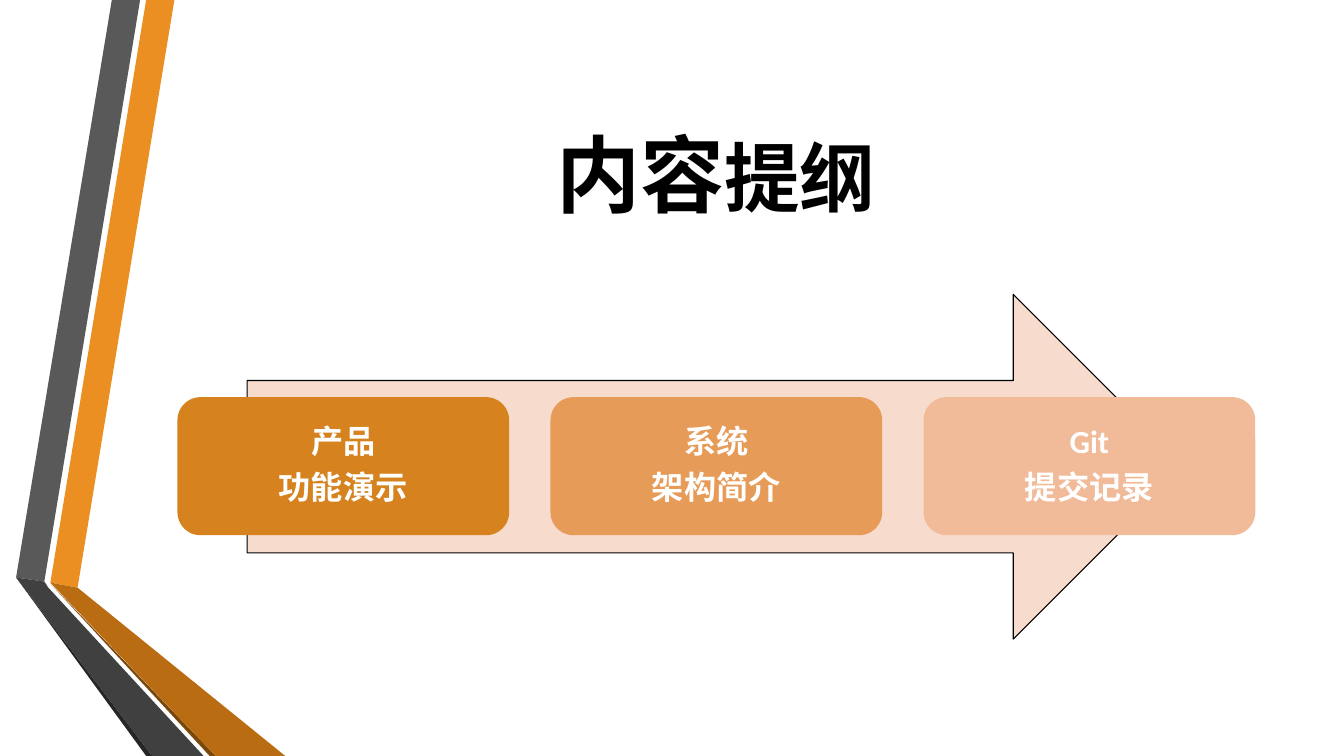
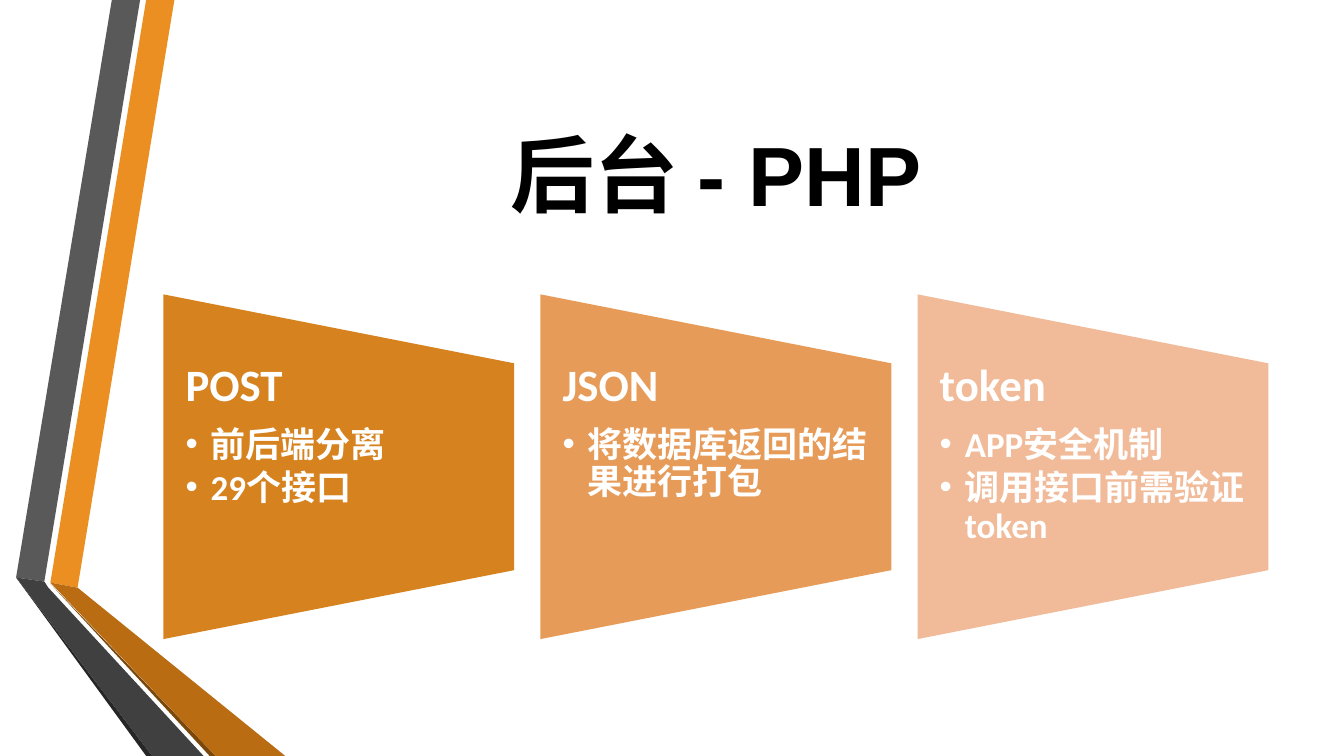
from dataclasses import dataclass

from lxml.etree import SubElement
from pptx import Presentation
from pptx.dml.color import RGBColor
from pptx.enum.shapes import MSO_SHAPE
from pptx.enum.text import MSO_ANCHOR, PP_ALIGN
from pptx.oxml.ns import qn
from pptx.shapes.autoshape import Shape
from pptx.slide import Slide
from pptx.util import Inches, Pt

COLORS = {
    "orange": "EB8F22",
    "orange_dark": "B96C11",
    "orange_edge": "7B480B",
    "gray": "595959",
    "gray_dark": "404040",
    "gray_edge": "262626",
    "arrow": "F7DBCD",
    "black": "000000",
    "white": "FFFFFF",
}
STEP_COLORS = ["D5821F", "E79B58", "F1BB99"]
BODY_FONT = "Calibri"
DIAGRAM_TOP, DIAGRAM_HEIGHT = 2.92, 3.42


@dataclass
class Ribbon:
    color: str
    points: list[tuple[float, float]]


@dataclass
class TitleRun:
    text: str
    size: int


@dataclass
class Topic:
    heading: str
    points: list[str]


RIBBONS = [
    Ribbon("orange", [(0.5, 5.78), (0.77, 5.83), (1.73, 0), (1.45, 0)]),
    Ribbon("gray", [(1.39, 0), (1.11, 0), (0.16, 5.73), (0.44, 5.77)]),
    Ribbon("gray_edge", [(0.16, 5.73), (1.45, 7.5), (1.51, 7.5)]),
    Ribbon("orange_edge", [(0.5, 5.79), (2.08, 7.5), (2.14, 7.5)]),
    Ribbon("orange_dark", [(0.5, 5.78), (2.14, 7.5), (2.83, 7.5), (0.77, 5.83)]),
    Ribbon("gray_dark", [(2.02, 7.5), (0.48, 5.83), (0.44, 5.77), (0.16, 5.73), (1.51, 7.5)]),
]
AGENDA = [("产品", "功能演示"), ("系统", "架构简介"), ("Git", "提交记录")]
TOPICS = [
    Topic("POST", ["前后端分离", "29个接口"]),
    Topic("JSON", ["将数据库返回的结果进行打包"]),
    Topic("token", ["APP安全机制", "调用接口前需验证token"]),
]


def paint(shape: Shape, color: str) -> None:
    shape.shadow.inherit = False
    shape.fill.solid()
    shape.fill.fore_color.rgb = RGBColor.from_string(color)
    shape.line.fill.background()


def set_margins(shape: Shape, side: float, end: float) -> None:
    frame = shape.text_frame
    frame.word_wrap = True
    frame.margin_left = frame.margin_right = Inches(side)
    frame.margin_top = frame.margin_bottom = Inches(end)


def add_paragraph(shape: Shape, text: str, size: int, after: float, bulleted: bool = False,
                  align: PP_ALIGN = PP_ALIGN.LEFT) -> None:
    frame = shape.text_frame
    paragraph = frame.add_paragraph() if frame.text else frame.paragraphs[0]
    paragraph.text = text
    paragraph.alignment = align
    paragraph.line_spacing = 0.9
    paragraph.space_after = Pt(size * after)
    if bulleted:
        paragraph.level = 1
        properties = paragraph._p.get_or_add_pPr()
        properties.set("marL", str(Inches(0.25)))
        properties.set("indent", str(Inches(-0.25)))
        SubElement(properties, qn("a:buFont"), typeface="Arial")
        SubElement(properties, qn("a:buChar"), char="•")
    font = paragraph.font
    font.name, font.size, font.bold = BODY_FONT, Pt(size), True
    font.color.rgb = RGBColor.from_string(COLORS["white"])


def add_ribbons(slide: Slide) -> None:
    for ribbon in RIBBONS:
        corners = [(Inches(x), Inches(y)) for x, y in ribbon.points]
        builder = slide.shapes.build_freeform(*corners[0])
        builder.add_line_segments(corners[1:], close=True)
        paint(builder.convert_to_shape(), COLORS[ribbon.color])


def add_title(slide: Slide, runs: list[TitleRun], font_name: str) -> None:
    title = slide.shapes.add_textbox(Inches(1.62), Inches(0.75), Inches(10.96), Inches(1.92))
    title.text_frame.word_wrap = True
    title.text_frame.vertical_anchor = MSO_ANCHOR.MIDDLE
    paragraph = title.text_frame.paragraphs[0]
    paragraph.alignment = PP_ALIGN.CENTER
    font = paragraph.font
    font.name, font.bold = font_name, True
    font.color.rgb = RGBColor.from_string(COLORS["black"])
    for part in runs:
        run = paragraph.add_run()
        run.text = part.text
        run.font.size = Pt(part.size)


def new_slide(deck: Presentation, runs: list[TitleRun], font_name: str) -> Slide:
    slide = deck.slides.add_slide(deck.slide_layouts[6])
    add_ribbons(slide)
    add_title(slide, runs, font_name)
    return slide


def add_agenda(slide: Slide) -> None:
    arrow = slide.shapes.add_shape(MSO_SHAPE.RIGHT_ARROW, Inches(2.45), Inches(DIAGRAM_TOP),
                                   Inches(9.31), Inches(DIAGRAM_HEIGHT))
    paint(arrow, COLORS["arrow"])
    arrow.line.color.rgb = RGBColor.from_string(COLORS["black"])
    arrow.line.width = Pt(0.75)
    for index, (lines, color) in enumerate(zip(AGENDA, STEP_COLORS)):
        step = slide.shapes.add_shape(MSO_SHAPE.ROUNDED_RECTANGLE, Inches(1.76 + 3.7 * index),
                                      Inches(3.94), Inches(3.29), Inches(1.37))
        paint(step, color)
        set_margins(step, 0.1, 0.1)
        step.text_frame.vertical_anchor = MSO_ANCHOR.MIDDLE
        for line in lines:
            add_paragraph(step, line, 23, 0.35, align=PP_ALIGN.CENTER)


def add_topics(slide: Slide) -> None:
    width = 3.48
    inset = (width - DIAGRAM_HEIGHT) / 2
    for index, (topic, color) in enumerate(zip(TOPICS, STEP_COLORS)):
        left = 1.62 + 3.74 * index
        panel = slide.shapes.add_shape(MSO_SHAPE.FLOWCHART_MANUAL_OPERATION,
                                       Inches(left + inset), Inches(DIAGRAM_TOP - inset),
                                       Inches(DIAGRAM_HEIGHT), Inches(width))
        panel.rotation = 270
        paint(panel, color)
        body = slide.shapes.add_textbox(Inches(left), Inches(3.6), Inches(width), Inches(2.05))
        set_margins(body, 0.22, 0)
        add_paragraph(body, topic.heading, 32, 0.35)
        for point in topic.points:
            add_paragraph(body, point, 25, 0.15, bulleted=True)


def main() -> None:
    deck = Presentation()
    deck.slide_width, deck.slide_height = Inches(13.33), Inches(7.5)
    add_agenda(new_slide(deck, [TitleRun("内容", 60), TitleRun("提纲", 54)], BODY_FONT))
    add_topics(new_slide(deck, [TitleRun("后台 - PHP", 60)], "Arial"))
    deck.save("out.pptx")


if __name__ == "__main__":
    main()
